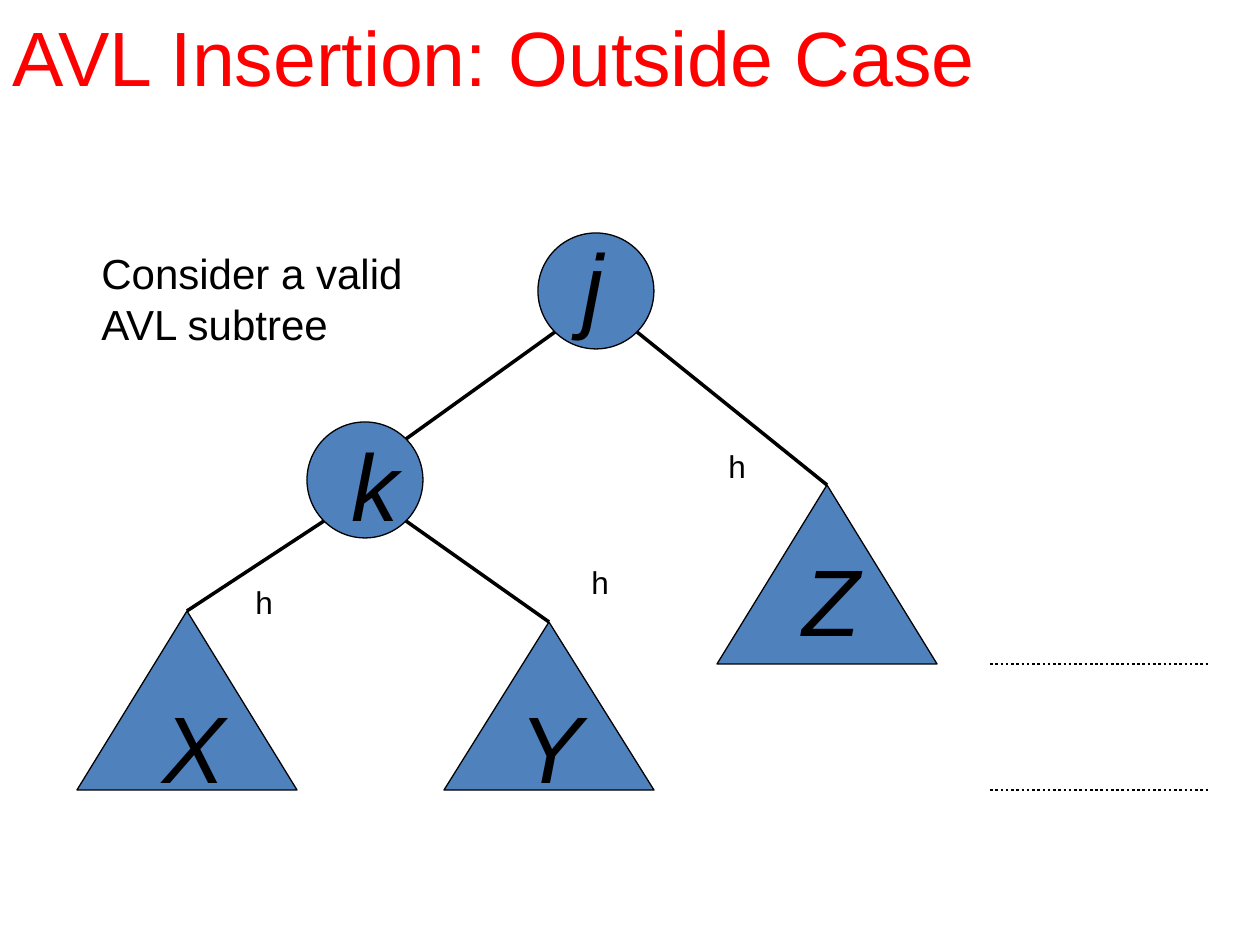
import pptx
import pptx.util
import pptx.dml.color
import pptx.enum.dml
import pptx.enum.shapes
import pptx.enum.text
import pptx.oxml.ns
import lxml.etree

SHAPE = pptx.enum.shapes.MSO_SHAPE
ANCHOR = pptx.enum.text.MSO_ANCHOR
DASH = pptx.enum.dml.MSO_LINE
EMU_PER_PX = 914400 / 126
BLACK, RED, BLUE = "000000", "FF0000", "4F81BD"
NODE = 116
CORNER = 41  # from a node's centre to its diagonal edge points


def px(n):
    return pptx.util.Emu(round(n * EMU_PER_PX))


def rgb(value):
    return pptx.dml.color.RGBColor.from_string(value)


class Canvas:
    def __init__(self, slide, font="Arial"):
        self.slide = slide
        self.font = font

    def text(self, x, y, w, h, lines, size, color=BLACK, italic=False,
             wrap=True, anchor=ANCHOR.TOP, top=6, bottom=6):
        sp = self.slide.shapes.add_textbox(px(x), px(y), px(w), px(h))
        tf = sp.text_frame
        tf.word_wrap = wrap
        tf.vertical_anchor = anchor
        tf.margin_top, tf.margin_bottom = px(top), px(bottom)
        for i, line in enumerate(lines):
            p = tf.paragraphs[0] if i == 0 else tf.add_paragraph()
            r = p.add_run()
            r.text = line
            r.font.name = self.font
            r.font.size = pptx.util.Pt(size)
            r.font.italic = italic
            r.font.color.rgb = rgb(color)

    def letter(self, x, y, name):
        self.text(x, y, 71, 126, [name], 54, italic=True, top=15, bottom=3)

    def height_label(self, x, y):
        self.text(x, y, 43, 50, ["h"], 18, wrap=False)

    def shape(self, kind, x, y, w, h):
        sp = self.slide.shapes.add_shape(kind, px(x), px(y), px(w), px(h))
        sp.shadow.inherit = False
        sp.fill.solid()
        sp.fill.fore_color.rgb = rgb(BLUE)
        sp.line.color.rgb = rgb(BLACK)
        sp.line.width = pptx.util.Pt(0.75)

    def node(self, cx, cy):
        self.shape(SHAPE.OVAL, cx - NODE // 2, cy - NODE // 2, NODE, NODE)

    def subtree(self, apex, w, h):
        self.shape(SHAPE.ISOSCELES_TRIANGLE, apex[0] - w // 2, apex[1], w, h)

    def line(self, start, end, width=2, dash=None):
        c = self.slide.shapes.add_connector(
            pptx.enum.shapes.MSO_CONNECTOR.STRAIGHT,
            *(px(n) for n in (*start, *end)))
        c.line.color.rgb = rgb(BLACK)
        c.line.width = pptx.util.Pt(width)
        if dash:
            c.line.dash_style = dash
        lxml.etree.SubElement(c._element.spPr, pptx.oxml.ns.qn("a:effectLst"))


def corner(center, dx, dy):
    """Point on a node's edge; dx and dy are -1 or 1."""
    return center[0] + dx * CORNER, center[1] + dy * CORNER


def main():
    prs = pptx.Presentation()
    prs.slide_width, prs.slide_height = px(1260), px(945)
    s = Canvas(prs.slides.add_slide(prs.slide_layouts[6]))

    j, k = (596, 291), (365, 480)
    x, y, z = (187, 611), (549, 622), (827, 485)

    for center in (j, k):
        s.node(*center)
    for apex, w, h in ((x, 220, 179), (y, 210, 168), (z, 220, 179)):
        s.subtree(apex, w, h)

    s.line(corner(j, -1, 1), corner(k, 1, -1))
    s.line(corner(j, 1, 1), z)
    s.line(corner(k, -1, 1), x)
    s.line(corner(k, 1, 1), y)
    for level in (664, 790):
        s.line((990, level), (1210, level), 1.5, DASH.ROUND_DOT)

    for name, left, top in (("j", 570, 212), ("k", 339, 412), ("X", 150, 674),
                            ("Y", 507, 674), ("Z", 790, 527)):
        s.letter(left, top, name)
    for left, top in ((716, 441), (243, 577), (579, 557)):
        s.height_label(left, top)

    s.text(89, 242, 326, 113, ["Consider a valid", "AVL subtree"], 24,
           wrap=False)
    s.text(0, 0, 1077, 111, ["AVL Insertion: Outside Case"], 44, RED,
           anchor=ANCHOR.MIDDLE)
    prs.save("out.pptx")


if __name__ == "__main__":
    main()
